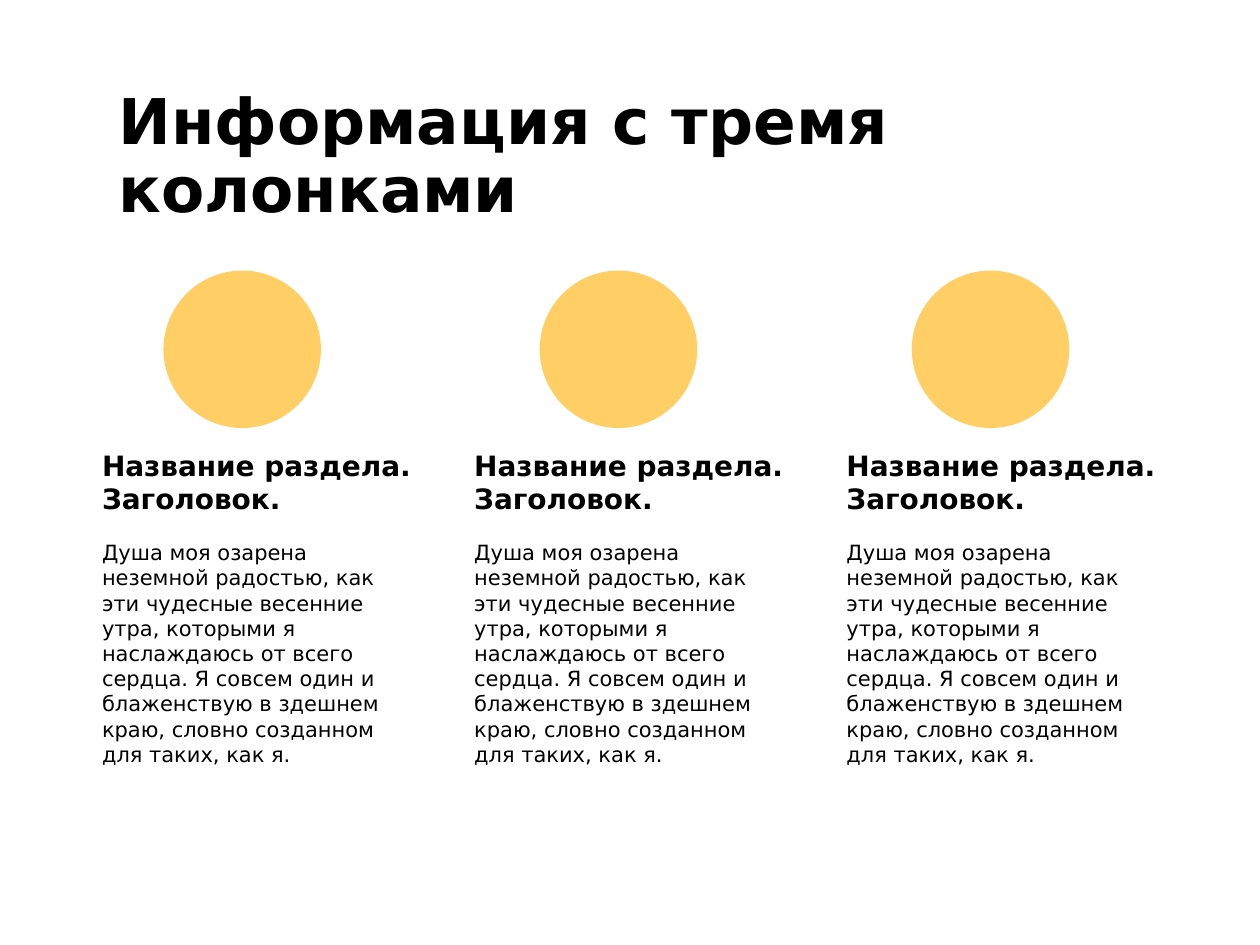
from pptx import Presentation
from pptx.dml.color import RGBColor
from pptx.enum.shapes import MSO_SHAPE
from pptx.enum.text import MSO_ANCHOR, MSO_AUTO_SIZE, PP_ALIGN
from pptx.util import Pt

LEFT = PP_ALIGN.LEFT
MIDDLE = MSO_ANCHOR.MIDDLE
NO_FIT = MSO_AUTO_SIZE.NONE
GROW = MSO_AUTO_SIZE.SHAPE_TO_FIT_TEXT
ELLIPSE = MSO_SHAPE.OVAL

COLORS = {"text": "000000", "circle": "FFCF66"}
FONT = "DejaVu Sans"
TITLE_ONLY = 5

TITLE = "Информация с тремя колонками"
HEADING = ["Название раздела.", "Заголовок."]
BODY = (
    "Душа моя озарена неземной радостью, как эти чудесные весенние утра, "
    "которыми я наслаждаюсь от всего сердца. Я совсем один и блаженствую "
    "в здешнем краю, словно созданном для таких, как я."
)

COLUMN_LEFT = 58.3
COLUMN_STEP = 212.7
CIRCLE_LEFTS = [93.4, 308.4, 521]


def color(name):
    return RGBColor.from_string(COLORS[name])


def format_paragraph(paragraph, text, size, bold):
    paragraph.text = text
    paragraph.alignment = LEFT
    font = paragraph.font
    font.name = FONT
    font.size = Pt(size)
    font.bold = bold
    font.color.rgb = color("text")


def set_title(page):
    title = page.shapes.title
    title.left, title.top = Pt(60.5), Pt(43.2)
    title.width, title.height = Pt(595.4), Pt(94.3)
    frame = title.text_frame
    frame.word_wrap = True
    frame.auto_size = NO_FIT
    frame.vertical_anchor = MIDDLE
    paragraph = frame.paragraphs[0]
    format_paragraph(paragraph, TITLE, 36, True)
    paragraph.line_spacing = 0.9
    paragraph.space_before = Pt(0)


def add_column(page, left):
    box = page.shapes.add_textbox(Pt(left), Pt(262), Pt(178), Pt(170))
    frame = box.text_frame
    frame.word_wrap = True
    frame.auto_size = GROW
    frame.vertical_anchor = MIDDLE
    frame.margin_left = frame.margin_right = Pt(0)
    frame.margin_top = frame.margin_bottom = Pt(0)
    format_paragraph(frame.paragraphs[0], HEADING[0], 16, True)
    format_paragraph(frame.add_paragraph(), HEADING[1], 16, True)
    body = frame.add_paragraph()
    format_paragraph(body, BODY, 12, False)
    body.space_before = Pt(14)


def add_circle(page, left):
    circle = page.shapes.add_shape(ELLIPSE, Pt(left), Pt(154.6), Pt(90), Pt(90))
    circle.shadow.inherit = False
    circle.fill.solid()
    circle.fill.fore_color.rgb = color("circle")
    circle.line.fill.background()


def main():
    deck = Presentation()
    deck.slide_width, deck.slide_height = Pt(720), Pt(540)
    page = deck.slides.add_slide(deck.slide_layouts[TITLE_ONLY])
    set_title(page)
    for index, circle_left in enumerate(CIRCLE_LEFTS):
        add_column(page, COLUMN_LEFT + index * COLUMN_STEP)
        add_circle(page, circle_left)
    deck.save("out.pptx")


if __name__ == "__main__":
    main()
